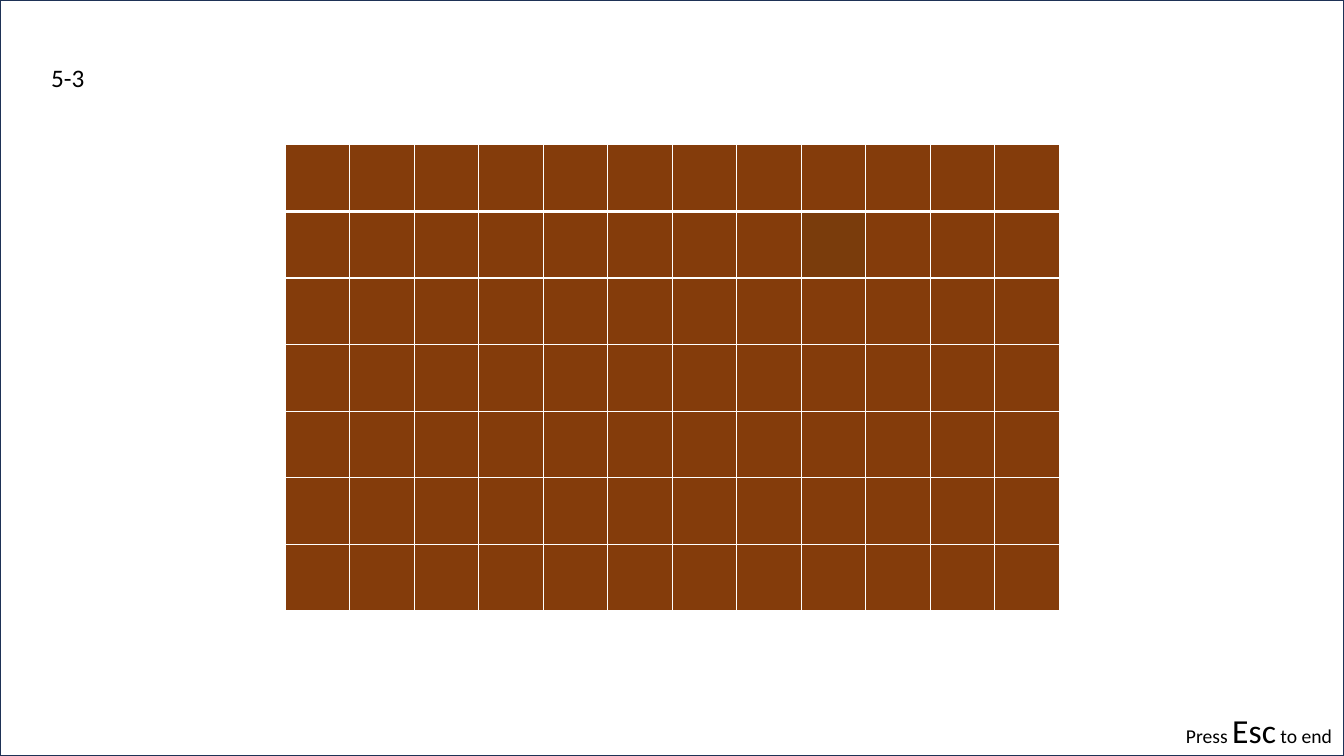
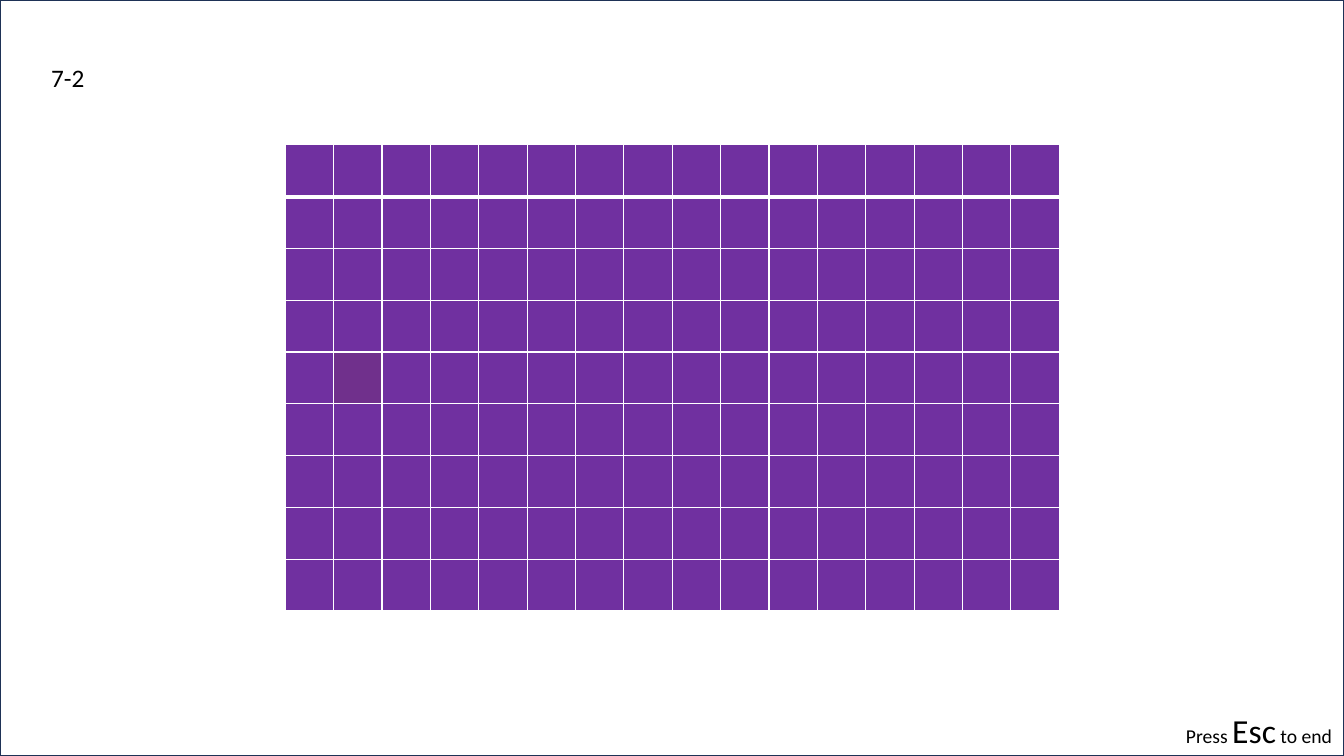
from dataclasses import dataclass

from pptx import Presentation
from pptx.dml.color import RGBColor
from pptx.enum.shapes import MSO_SHAPE
from pptx.enum.text import MSO_AUTO_SIZE
from pptx.oxml.ns import qn
from pptx.util import Pt
from lxml import etree

RECTANGLE = MSO_SHAPE.RECTANGLE
GROW = MSO_AUTO_SIZE.SHAPE_TO_FIT_TEXT
BLANK_LAYOUT = 6
SLIDE_WIDTH, SLIDE_HEIGHT = 960, 540


@dataclass(frozen=True)
class Theme:
    font: str = "Calibri"
    ink: str = "000000"
    grid_line: str = "FFFFFF"
    frame_line: str = "1E3256"
    level_size: float = 18
    hint_size: float = 14
    key_size: float = 24
    thin: float = 1
    thick: float = 3


@dataclass(frozen=True)
class Level:
    label: str
    columns: int
    rows: int
    colour: str
    odd_colour: str
    odd_cell: tuple  # row, column


LEVELS = (
    Level("5-3", 12, 7, "843C0B", "7A3C0C", (1, 8)),
    Level("7-2", 16, 9, "7030A0", "70308C", (4, 1)),
)


class Deck:
    def __init__(self, theme):
        self.theme = theme
        self.slide = None
        self.presentation = Presentation()
        self.presentation.slide_width = Pt(SLIDE_WIDTH)
        self.presentation.slide_height = Pt(SLIDE_HEIGHT)

    def new_slide(self):
        layout = self.presentation.slide_layouts[BLANK_LAYOUT]
        self.slide = self.presentation.slides.add_slide(layout)

    def text(self, left, top, width, height, *runs):
        """Add a one-line text box; each run is a (text, size) pair."""
        box = self.slide.shapes.add_textbox(
            Pt(left), Pt(top), Pt(width), Pt(height))
        frame = box.text_frame
        frame.word_wrap = False
        frame.auto_size = GROW
        for words, size in runs:
            run = frame.paragraphs[0].add_run()
            run.text = words
            run.font.name = self.theme.font
            run.font.size = Pt(size)
            run.font.color.rgb = RGBColor.from_string(self.theme.ink)

    def slide_frame(self):
        outline = self.slide.shapes.add_shape(
            RECTANGLE, 0, 0, Pt(SLIDE_WIDTH), Pt(SLIDE_HEIGHT))
        outline.shadow.inherit = False
        outline.fill.background()
        outline.line.color.rgb = RGBColor.from_string(self.theme.frame_line)
        outline.line.width = Pt(self.theme.thin)

    def cell_borders(self, cell, top, bottom):
        """Border a cell; must run before the fill, which follows in the XML."""
        thin = self.theme.thin
        properties = cell._tc.get_or_add_tcPr()
        sides = (("L", thin), ("R", thin), ("T", top), ("B", bottom))
        for side, width in sides:
            line = etree.SubElement(
                properties, qn(f"a:ln{side}"), w=str(Pt(width)))
            fill = etree.SubElement(line, qn("a:solidFill"))
            etree.SubElement(fill, qn("a:srgbClr"), val=self.theme.grid_line)

    def colour_grid(self, level, left, top, width, height):
        """Add a table of equal cells, one of them slightly off colour."""
        table = self.slide.shapes.add_table(
            level.rows, level.columns,
            Pt(left), Pt(top), Pt(width), Pt(height)).table
        table.first_row = False
        table.horz_banding = False
        thin, thick = self.theme.thin, self.theme.thick
        for row in range(level.rows):
            for column in range(level.columns):
                cell = table.cell(row, column)
                self.cell_borders(cell,
                                  top=thick if row == 1 else thin,
                                  bottom=thick if row == 0 else thin)
                is_odd = (row, column) == level.odd_cell
                colour = level.odd_colour if is_odd else level.colour
                cell.fill.solid()
                cell.fill.fore_color.rgb = RGBColor.from_string(colour)

    def level_slide(self, level):
        theme = self.theme
        self.new_slide()
        self.colour_grid(level, 203.75, 103.5, 553, 333)
        self.text(29.5, 41, 39, 29, (level.label, theme.level_size))
        self.slide_frame()
        self.text(840, 503.5, 120, 36, ("Press ", theme.hint_size),
                  ("Esc", theme.key_size), (" to end", theme.hint_size))


def main():
    deck = Deck(Theme())
    for level in LEVELS:
        deck.level_slide(level)
    deck.presentation.save("out.pptx")


if __name__ == "__main__":
    main()
